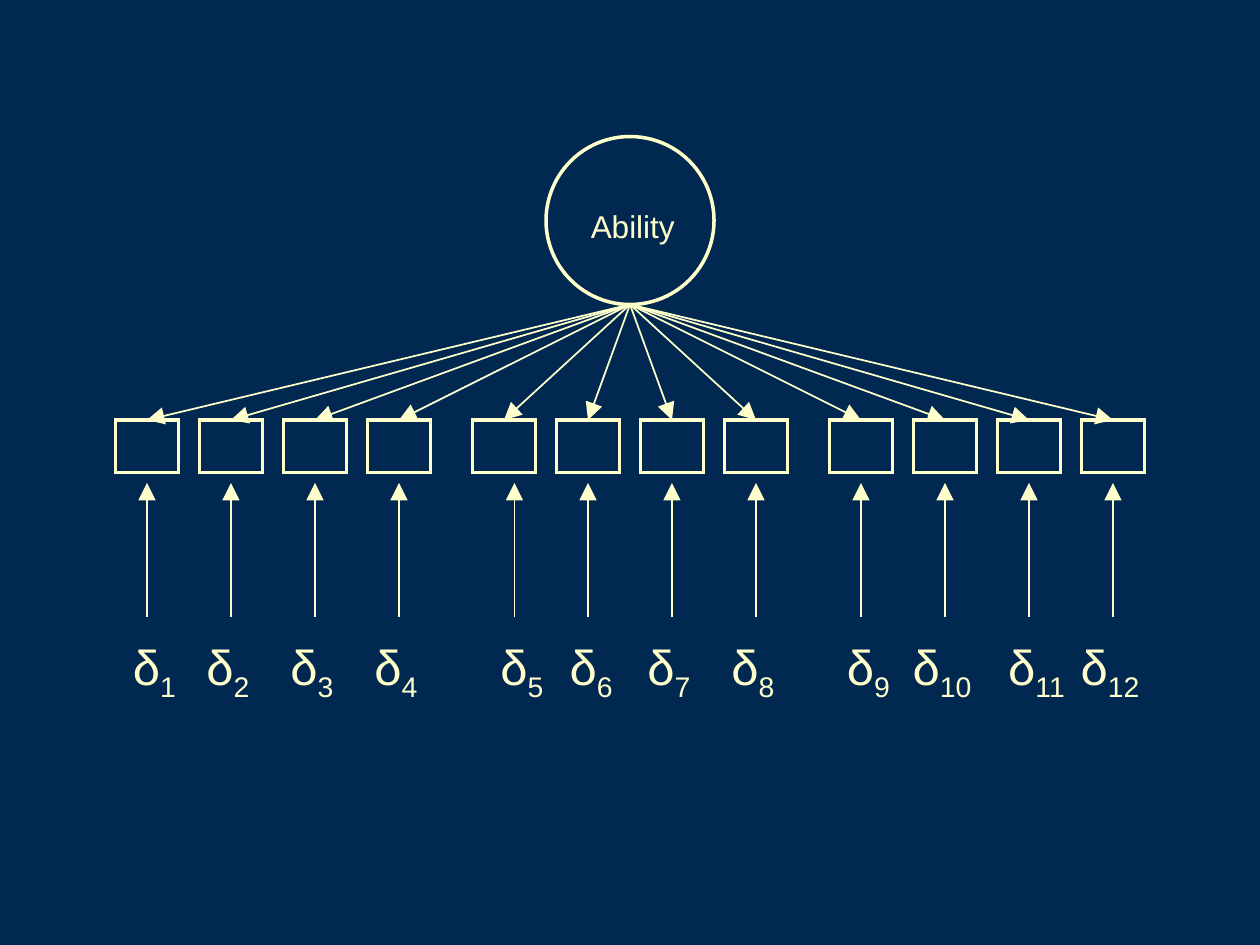
from lxml import etree
from pptx import Presentation
from pptx.dml.color import RGBColor
from pptx.enum.shapes import MSO_CONNECTOR, MSO_SHAPE
from pptx.enum.text import MSO_AUTO_SIZE, PP_ALIGN
from pptx.oxml.ns import qn
from pptx.util import Pt

OVAL = MSO_SHAPE.OVAL
RECTANGLE = MSO_SHAPE.RECTANGLE
STRAIGHT = MSO_CONNECTOR.STRAIGHT
CENTER = PP_ALIGN.CENTER
LEFT = PP_ALIGN.LEFT
GROW = MSO_AUTO_SIZE.SHAPE_TO_FIT_TEXT

COLORS = {"background": "002850", "cream": "FFFFCC"}
FONT = "Arial"
GROUPS, ITEMS_PER_GROUP = 3, 4
GROUP_PITCH, ITEM_PITCH = 204, 48
ITEM_WIDTH, ITEM_HEIGHT = 36, 30
LABEL_OFFSETS = [-6, -12, -12, -12, 0, -8.4, -12, -12, -6, -12, -6, -12]
ERROR_ARROW_OFFSETS = {5: 6}


def color(name):
    return RGBColor.from_string(COLORS[name])


def add_outline(page, kind, left, top, width, height):
    shape = page.shapes.add_shape(kind, Pt(left), Pt(top), Pt(width), Pt(height))
    shape.shadow.inherit = False
    shape.fill.background()
    shape.line.color.rgb = color("cream")
    shape.line.width = Pt(2)
    etree.SubElement(shape.line._get_or_add_ln(), qn("a:miter"), lim="800000")
    return shape


def add_arrow(page, start, end):
    points = [Pt(value) for value in (*start, *end)]
    arrow = page.shapes.add_connector(STRAIGHT, *points)
    arrow.line.color.rgb = color("cream")
    arrow.line.width = Pt(1)
    line = arrow.line._get_or_add_ln()
    etree.SubElement(line, qn("a:tailEnd"), type="triangle", w="lg", len="lg")
    etree.SubElement(arrow._element.spPr, qn("a:effectLst"))
    return arrow


def add_label(page, left, top, width, height, text, size, align, subscript=""):
    box = page.shapes.add_textbox(Pt(left), Pt(top), Pt(width), Pt(height))
    frame = box.text_frame
    frame.word_wrap = True
    frame.auto_size = GROW
    frame.text = text
    para = frame.paragraphs[0]
    para.alignment = align
    if subscript:
        span = para.add_run()
        span.text = subscript
        span.font._element.set("baseline", "-25000")
    for span in para.runs:
        span.font.name = FONT
        span.font.size = Pt(size)
        span.font.color.rgb = color("cream")


def add_factor(page, left, top, diameter):
    add_outline(page, OVAL, left, top, diameter, diameter)
    add_label(page, left + 18.5, top + 37, 68, 29, "Ability", 18, LEFT)
    return left + diameter / 2, top + diameter


def add_item(page, left, top, number, factor_bottom):
    center = left + ITEM_WIDTH / 2
    item = add_outline(page, RECTANGLE, left, top, ITEM_WIDTH, ITEM_HEIGHT)
    add_arrow(page, factor_bottom, (center, top)).end_connect(item, 0)
    error_x = center + ERROR_ARROW_OFFSETS.get(number, 0)
    add_arrow(page, (error_x, top + 112.8), (error_x, top + 36))
    label_left = left + LABEL_OFFSETS[number - 1]
    add_label(page, label_left, top + 120, 56.5, 45.4, "δ", 28, CENTER, str(number))


def add_items(page, left, top, factor_bottom):
    for index in range(GROUPS * ITEMS_PER_GROUP):
        group, position = divmod(index, ITEMS_PER_GROUP)
        item_left = left + group * GROUP_PITCH + position * ITEM_PITCH
        add_item(page, item_left, top, index + 1, factor_bottom)


def main():
    deck = Presentation()
    deck.slide_width, deck.slide_height = Pt(720), Pt(540)
    page = deck.slides.add_slide(deck.slide_layouts[6])
    page.background.fill.solid()
    page.background.fill.fore_color.rgb = color("background")
    factor_bottom = add_factor(page, 312, 78, 96)
    add_items(page, 66, 240, factor_bottom)
    deck.save("out.pptx")


if __name__ == "__main__":
    main()
